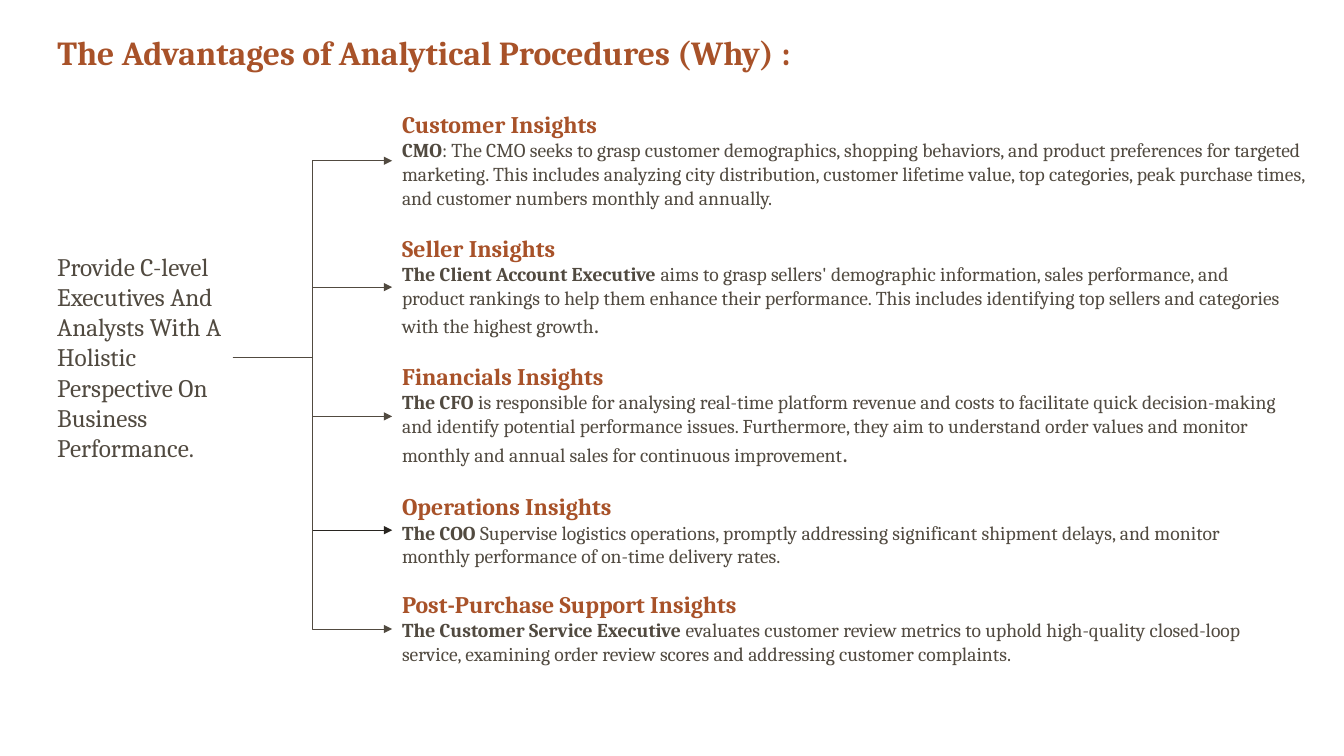
from lxml import etree
from pptx import Presentation
from pptx.dml.color import RGBColor
from pptx.enum.shapes import MSO_CONNECTOR
from pptx.enum.text import MSO_ANCHOR, MSO_AUTO_SIZE, PP_ALIGN
from pptx.oxml.ns import qn
from pptx.util import Pt

ELBOW = MSO_CONNECTOR.ELBOW
TOP = MSO_ANCHOR.TOP
GROW = MSO_AUTO_SIZE.SHAPE_TO_FIT_TEXT
LEFT = PP_ALIGN.LEFT
LEFT_SIDE, RIGHT_SIDE = 1, 3

FONT = "Cambria"
COLORS = {"heading": "A85229", "body": "514A40", "dark": "282520"}

TITLE = "The Advantages of Analytical Procedures (Why) :"
GOAL = ("Provide C-level Executives And Analysts With A Holistic "
        "Perspective On Business Performance.")

# Top, width, height, arrow colour, heading, runs of (text, size, bold)
INSIGHTS = [
    (74.9, 664.5, 79.9, "body", "Customer Insights", [
        ("CMO", 14, True),
        (": The CMO seeks to grasp customer demographics, shopping behaviors, "
         "and product preferences for targeted marketing. This includes "
         "analyzing city distribution, customer lifetime value, top "
         "categories, peak purchase times, and customer numbers monthly and "
         "annually.", 14, False)]),
    (163.4, 646.5, 83.5, "body", "Seller Insights", [
        ("The Client Account Executive ", 14, True),
        ("aims to grasp sellers' demographic information, sales performance, "
         "and product rankings to help them enhance their performance. This "
         "includes identifying top sellers and categories with the highest "
         "growth", 14, False),
        (".", 17, False)]),
    (254.9, 646.5, 85, "body", "Financials Insights", [
        ("The CFO ", 14, True),
        ("is responsible for analysing real-time platform revenue and costs "
         "to facilitate quick decision-making and identify potential "
         "performance issues. Furthermore, they aim to understand order "
         "values and monitor monthly and annual sales for continuous "
         "improvement", 14, False),
        (".", 18, False)]),
    (347.8, 646.5, 61.9, "dark", "Operations Insights", [
        ("The COO ", 14, True),
        ("Supervise logistics operations, promptly addressing significant "
         "shipment delays, and monitor monthly performance of on-time "
         "delivery rates.", 14, False)]),
    (417.6, 646.5, 63.4, "body", "Post-Purchase Support Insights", [
        ("The Customer Service Executive ", 14, True),
        ("evaluates customer review metrics to uphold high-quality "
         "closed-loop service, examining order review scores and addressing "
         "customer complaints.", 14, False)]),
]


def color(name):
    return RGBColor.from_string(COLORS[name])


def style_paragraph(paragraph, color_name, size=None, bold=None):
    paragraph.alignment = LEFT
    font = paragraph.font
    font.name = FONT
    font.color.rgb = color(color_name)
    font.size = Pt(size) if size else None
    font.bold = bold


def prepare_frame(shape):
    frame = shape.text_frame
    frame.word_wrap = True
    frame.auto_size = GROW
    frame.vertical_anchor = TOP
    return frame


def set_title(slide):
    title = slide.shapes.title
    title.left, title.top = Pt(33.8), Pt(19.4)
    title.width, title.height = Pt(563.8), Pt(36)
    frame = prepare_frame(title)
    frame.text = TITLE
    style_paragraph(frame.paragraphs[0], "heading", 24, True)


def add_text_box(slide, left, top, width, height):
    return slide.shapes.add_textbox(Pt(left), Pt(top), Pt(width), Pt(height))


def add_goal(slide):
    box = add_text_box(slide, 33.8, 175.7, 132.5, 159.8)
    frame = prepare_frame(box)
    frame.text = GOAL
    style_paragraph(frame.paragraphs[0], "body", 18)
    return box


def add_insight(slide, top, width, height, heading, runs):
    box = add_text_box(slide, 280.1, top, width, height)
    frame = prepare_frame(box)
    frame.text = heading
    style_paragraph(frame.paragraphs[0], "heading", 17, True)
    paragraph = frame.add_paragraph()
    style_paragraph(paragraph, "body")
    for text, size, bold in runs:
        run = paragraph.add_run()
        run.text = text
        run.font.size = Pt(size)
        run.font.bold = bold
    return box


def add_arrow(slide, source, target, color_name):
    arrow = slide.shapes.add_connector(ELBOW, 0, 0, 0, 0)
    arrow.begin_connect(source, RIGHT_SIDE)
    arrow.end_connect(target, LEFT_SIDE)
    arrow.line.color.rgb = color(color_name)
    arrow.line.width = Pt(0.5)
    properties = arrow._element.spPr
    line = properties.find(qn("a:ln"))
    etree.SubElement(line, qn("a:tailEnd"), type="triangle")
    etree.SubElement(properties, qn("a:effectLst"))


def main():
    presentation = Presentation()
    presentation.slide_width, presentation.slide_height = Pt(960), Pt(540)
    title_only = presentation.slide_layouts[5]
    slide = presentation.slides.add_slide(title_only)

    # Title and goal on the left
    set_title(slide)
    goal = add_goal(slide)

    # Insights, each with an arrow from the goal
    for top, width, height, arrow_color, heading, runs in INSIGHTS:
        insight = add_insight(slide, top, width, height, heading, runs)
        add_arrow(slide, goal, insight, arrow_color)

    presentation.save("out.pptx")


if __name__ == "__main__":
    main()
